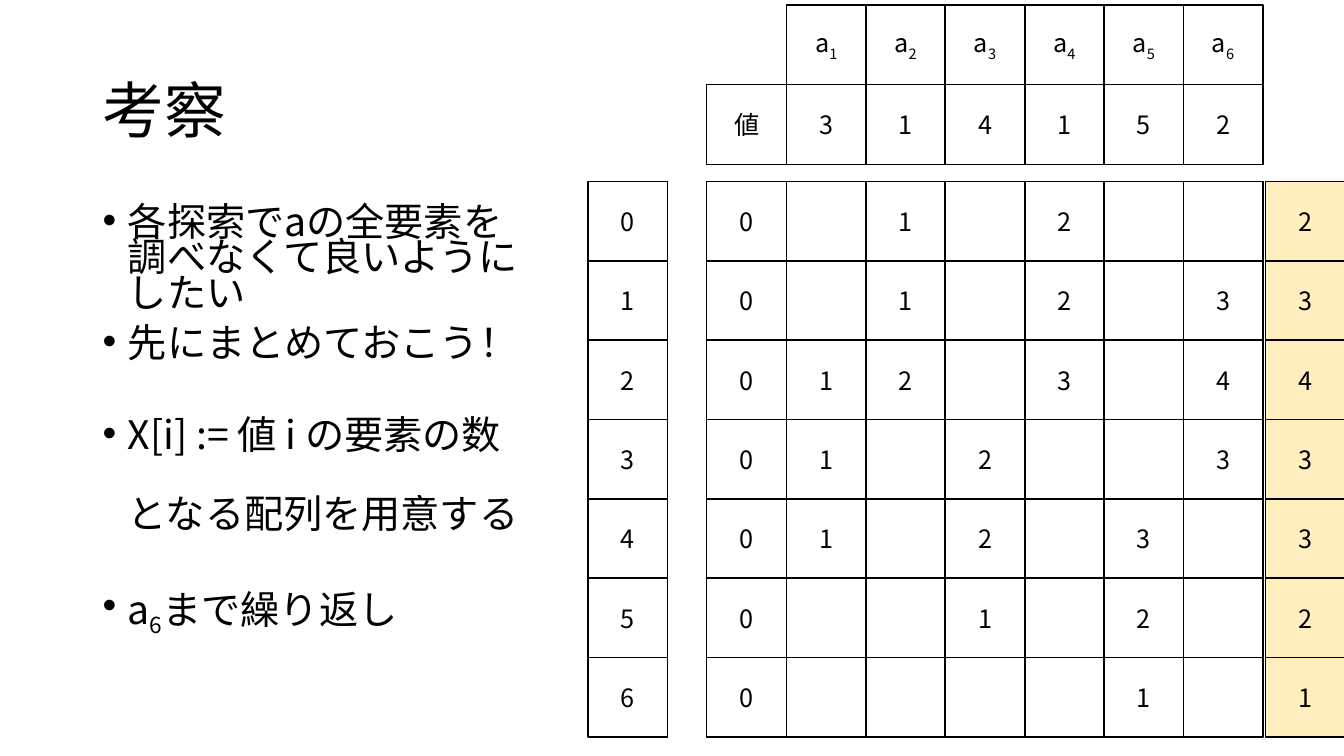
"""Slide that counts, element by element, how many a_i can become each value."""
from lxml import etree
from pptx import Presentation
from pptx.dml.color import RGBColor
from pptx.enum import shapes, text
from pptx.oxml.ns import qn
from pptx.util import Inches, Pt

COLOURS = {"ink": "000000", "amber": "FFC000", "edge": "325491"}
FONT = "Noto Sans CJK JP"
SIDE = 0.79
PITCH = 5.51 / 7
INDEX_LEFT, START_LEFT, FIRST_LEFT, TOTAL_LEFT = 5.83, 7.01, 7.8, 12.55
NAMES_TOP, VALUES_TOP, COUNTS_TOP = 0.05, 0.84, 1.8


def write(paragraph, words, size, subscript="", rest=""):
    paragraph.font.size = Pt(size)
    paragraph.font.name = FONT
    paragraph.font.color.rgb = RGBColor.from_string(COLOURS["ink"])
    latin = paragraph._p.pPr.find(qn("a:defRPr")).find(qn("a:latin"))
    east_asian = etree.Element(qn("a:ea"), typeface=FONT)
    latin.addnext(east_asian)
    paragraph.text = words
    if subscript:
        lowered = paragraph.add_run()
        lowered.text = subscript
        lowered._r.get_or_add_rPr().set("baseline", "-25000")
    if rest:
        paragraph.add_run().text = rest


def box(left, top, words="", subscript="", height=SIDE, edge="ink"):
    cell = slide.shapes.add_shape(
        shapes.MSO_SHAPE.RECTANGLE, Inches(left), Inches(top), Inches(SIDE), Inches(height))
    cell.shadow.inherit = False
    cell.fill.background()
    cell.line.color.rgb = RGBColor.from_string(COLOURS[edge])
    cell.line.width = Pt(1)
    if words:
        cell.text_frame.vertical_anchor = text.MSO_ANCHOR.MIDDLE
        label = cell.text_frame.paragraphs[0]
        label.alignment = text.PP_ALIGN.CENTER
        write(label, words, 18, subscript)
    return cell


deck = Presentation()
deck.slide_width, deck.slide_height = Inches(13.33), Inches(7.5)
slide = deck.slides.add_slide(deck.slide_layouts[5])

title = slide.shapes.title
title.left, title.top, title.width, title.height = map(Inches, (0.92, 0.4, 11.5, 1.45))
title.text_frame.vertical_anchor = text.MSO_ANCHOR.MIDDLE
title.text_frame.auto_size = text.MSO_AUTO_SIZE.NONE
heading = title.text_frame.paragraphs[0]
heading.alignment = text.PP_ALIGN.LEFT
heading.line_spacing = 0.9
write(heading, "考察", 44)

values = [3, 1, 4, 1, 5, 2]
counts = [0] * 7
box(START_LEFT, VALUES_TOP, "値")
for row in range(len(counts)):
    top = COUNTS_TOP + row * PITCH
    box(INDEX_LEFT, top, str(row))
    box(START_LEFT, top, "0")

for column, value in enumerate(values):
    left = FIRST_LEFT + column * PITCH
    box(left, NAMES_TOP, "a", str(column + 1))
    box(left, VALUES_TOP, str(value))
    for row in range(len(counts)):
        reached = abs(row - value) <= 1
        counts[row] += reached
        box(left, COUNTS_TOP + row * PITCH, str(counts[row]) if reached else "")

notes = slide.shapes.add_textbox(Inches(0.92), Inches(2.01), Inches(4.52), Inches(4.76))
notes.text_frame.word_wrap = True
points = [
    ("各探索でaの全要素を\v調べなくて良いように\vしたい", "", "", 0, True),
    ("先にまとめておこう！", "", "", 10, True),
    ("X[i] := 値 i の要素の数", "", "", 40, True),
    ("となる配列を用意する", "", "", 31, False),
    ("a", "6", "まで繰り返し", 40, True),
]
for position, (words, subscript, rest, gap, bulleted) in enumerate(points):
    point = notes.text_frame.add_paragraph() if position else notes.text_frame.paragraphs[0]
    point.line_spacing = 0.76
    point.space_before = Pt(gap)
    write(point, words, 28, subscript, rest)
    properties = point._p.get_or_add_pPr()
    properties.set("marL", str(Inches(0.25)))
    properties.set("indent", str(Inches(-0.25) if bulleted else 0))
    if bulleted:
        bullet_font = etree.Element(qn("a:buFont"), typeface="Arial")
        bullet = etree.Element(qn("a:buChar"), char="•")
        properties.find(qn("a:defRPr")).addprevious(bullet_font)
        bullet_font.addnext(bullet)

totals = box(TOTAL_LEFT, COUNTS_TOP, height=5.51, edge="edge")
totals.fill.solid()
totals.fill.fore_color.rgb = RGBColor.from_string(COLOURS["amber"])
amber = totals._element.spPr.find(qn("a:solidFill")).find(qn("a:srgbClr"))
etree.SubElement(amber, qn("a:alpha"), val="25000")
for row, count in enumerate(counts):
    box(TOTAL_LEFT, COUNTS_TOP + row * PITCH, str(count))

deck.save("out.pptx")
